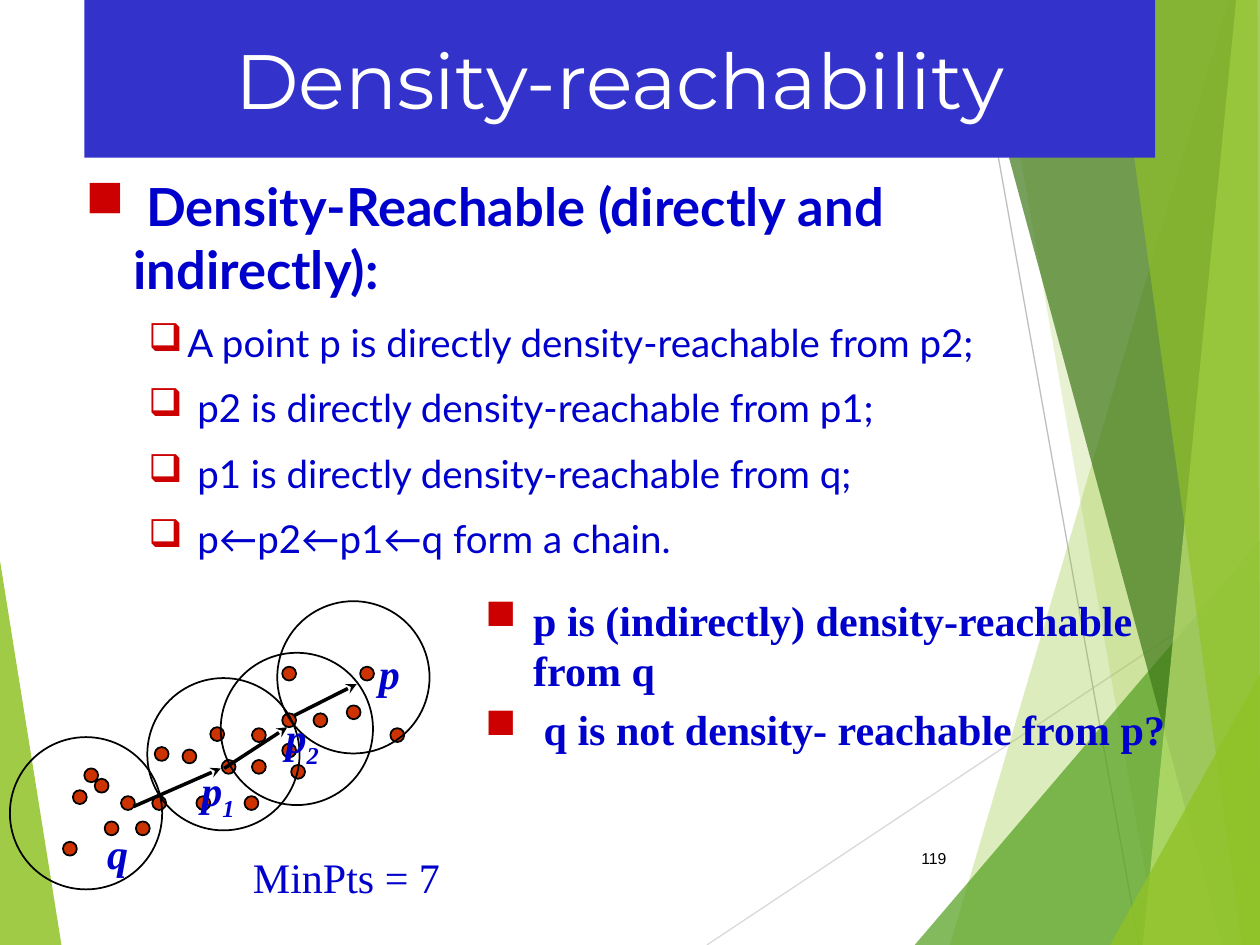
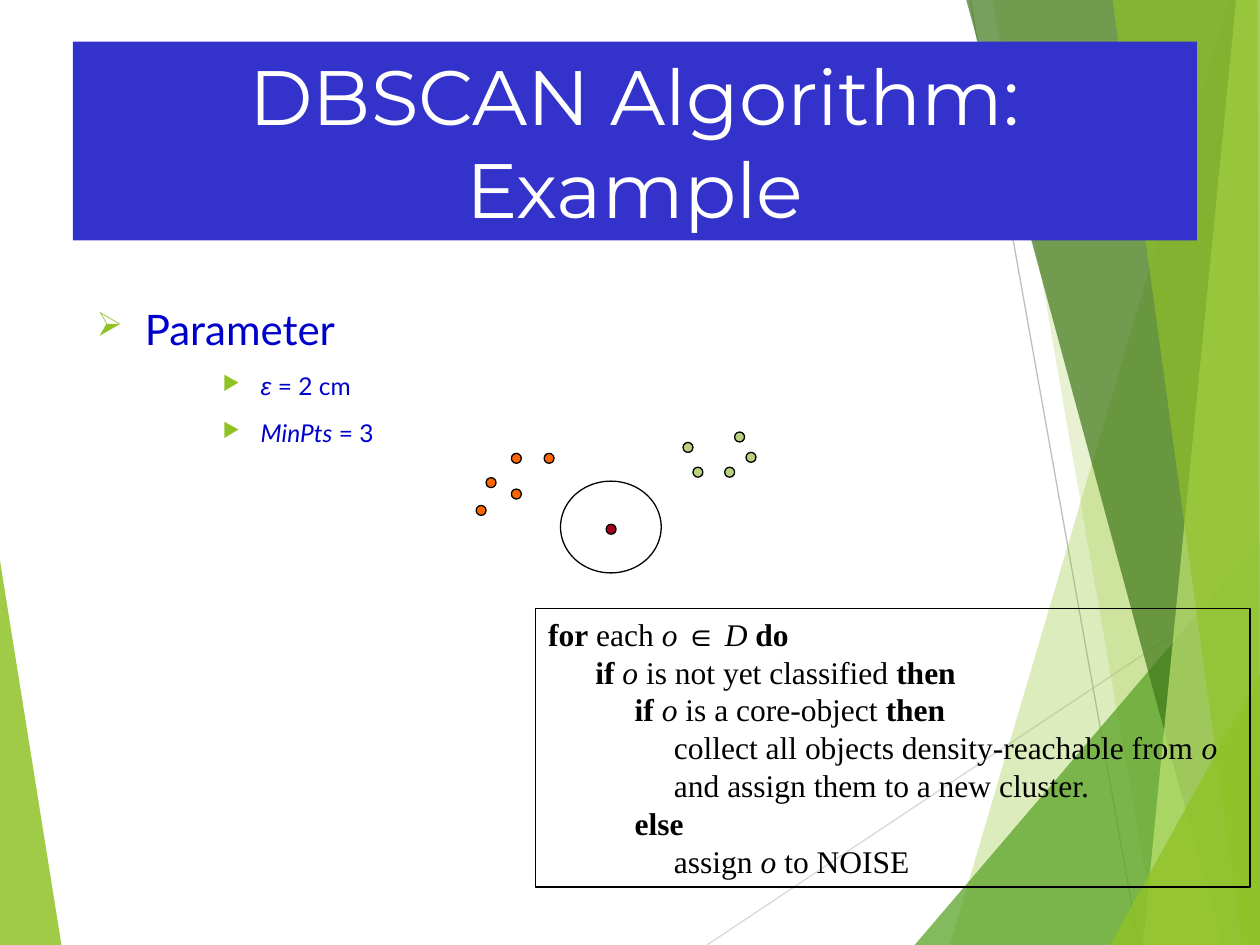
from lxml.etree import SubElement
from pptx import Presentation
from pptx.dml.color import RGBColor
from pptx.enum.shapes import MSO_CONNECTOR, MSO_SHAPE
from pptx.enum.text import MSO_ANCHOR, PP_ALIGN
from pptx.oxml.ns import qn
from pptx.util import Cm, Pt

COLORS = {
    "band": "3333CC", "white": "FFFFFF", "black": "000000", "text": "0000CC",
    "bullet": "CC0000", "lime": "90C226", "green": "54A021", "forest": "3F7819",
    "pale": "C0E474", "light_rule": "D9D9D9", "rule": "BFBFBF",
    "point": "CC3300", "orange": "FF6600", "sage": "B9D181", "core": "A50021",
}
WIDTH, HEIGHT = 25.4, 19.05
CORNERS = [(WIDTH, HEIGHT), (WIDTH, 0)]

RULES = [((14.25, HEIGHT), (WIDTH, 11.63), "light_rule"),
         ((19.56, 0), (22.96, HEIGHT), "rule")]
SHARDS = [
    ("lime", 85, [(0, 11.3), (1.24, HEIGHT), (0, HEIGHT)]),
    ("lime", 30, [(24.77, 0), (19.15, HEIGHT), *CORNERS]),
    ("lime", 20, [(20.02, 0), (23.34, HEIGHT), *CORNERS]),
    ("green", 72, [(18.44, HEIGHT), (WIDTH, 10.9), (WIDTH, HEIGHT)]),
    ("forest", 70, [(19.48, 0), (24.64, HEIGHT), *CORNERS]),
    ("pale", 70, [(24.92, 0), (23.04, HEIGHT), *CORNERS]),
    ("lime", 65, [(22.43, 0), (25.04, HEIGHT), (WIDTH, HEIGHT), (25.35, 0)]),
    ("lime", 80, [(22.38, HEIGHT), (WIDTH, 13.59), (WIDTH, HEIGHT)]),
]

TITLE = {"name": "Montserrat", "size": Pt(44), "color": "white"}
HEADING = {"name": "Lato", "size": Pt(30), "bold": True, "color": "text"}
POINT = {"name": "Lato", "size": Pt(22), "color": "text"}
SERIF = {"name": "Times New Roman", "size": Pt(24), "color": "text"}
CONCLUSION = {**SERIF, "bold": True}
LABEL = {**CONCLUSION, "italic": True}
PARAMETER = {"name": "Lato", "size": Pt(24), "color": "text"}
VALUE = {**PARAMETER, "size": Pt(14)}
NUMBER = {"name": "Arial", "size": Pt(9), "color": "black"}
CODE = {"name": "Times New Roman", "size": Pt(18), "color": "black"}
CODE_BOLD = {**CODE, "bold": True}
CODE_ITALIC = {**CODE, "italic": True}

SQUARE = {"mark": "■", "color": "bullet", "left": 0.97, "hang": 0.97}
CHECKBOX = {"mark": "❑", "color": "bullet", "left": 2.06, "hang": 0.79, "level": 1}
ARROWHEAD = {"mark": "➢", "color": "lime", "left": 0.97, "hang": 0.97, "size": 80}
TRIANGLE = {"mark": "▶", "color": "lime", "left": 3.18, "hang": 0.64, "size": 80, "level": 2}

CIRCLES = [(4.45, 13.16), (2.97, 13.67), (5.59, 12.12), (0.2, 14.86)]
POINTS = [
    (2.74, 16.56), (5.69, 14.38), (5.69, 13.44), (4.47, 15.32), (5.08, 14.68),
    (5.08, 15.32), (1.47, 15.93), (6.99, 14.22), (7.87, 14.68), (7.26, 13.44),
    (5.69, 14.99), (6.32, 14.38), (1.91, 15.7), (2.11, 16.56), (1.27, 16.97),
    (3.68, 15.11), (2.44, 16.05), (3.12, 15.06), (3.07, 16.05), (1.7, 15.49),
    (5.87, 15.42), (3.96, 16.05), (4.24, 14.66), (4.93, 16.05),
]
CHAIN = [((2.69, 16.26), (4.45, 15.49)), ((4.52, 15.49), (5.79, 14.66)),
         ((5.92, 14.43), (7.19, 13.79))]
CHAIN_LABELS = [("p", "", 7.39, 12.93), ("q", "", 1.91, 16.56),
                ("p", "2", 5.51, 14.22), ("p", "1", 3.81, 15.29)]
CLUSTERS = {
    "orange": [(9.6, 10.19), (10.31, 9.14), (10.97, 9.14), (9.8, 9.63), (10.31, 9.86)],
    "sage": [(13.97, 9.42), (13.77, 8.92), (14.61, 9.42), (15.04, 9.12), (14.81, 8.71)],
    "core": [(12.22, 10.57)],
}
ALGORITHM = [
    [("for", CODE_BOLD), (" each ", CODE), ("o ", CODE_ITALIC),
     ("∈", {**CODE, "name": "Arial"}), (" D ", CODE_ITALIC), ("do", CODE_BOLD)],
    [("      if ", CODE_BOLD), ("o", CODE_ITALIC), (" is not yet classified ", CODE),
     ("then", CODE_BOLD)],
    [("           if ", CODE_BOLD), ("o", CODE_ITALIC), (" is a core-object ", CODE),
     ("then", CODE_BOLD)],
    [("                collect all objects density-reachable from ", CODE),
     ("o", CODE_ITALIC)],
    [("                and assign them to a new cluster.", CODE)],
    [("           else", CODE_BOLD)],
    [("                assign ", CODE), ("o", CODE_ITALIC), (" to NOISE", CODE)],
]


def rgb(name):
    return RGBColor.from_string(COLORS[name])


def cm(*lengths):
    return [Cm(length) for length in lengths]


def style_span(span, style):
    for name, value in style.items():
        if name == "color":
            span.font.color.rgb = rgb(value)
        elif name == "baseline":
            span._r.get_or_add_rPr().set("baseline", str(value * 1000))
        else:
            setattr(span.font, name, value)


def add_bullet(para, bullet):
    para.level = bullet.get("level", 0)
    properties = para._p.get_or_add_pPr()
    properties.set("marL", str(Cm(bullet["left"])))
    properties.set("indent", str(-Cm(bullet["hang"])))
    color = SubElement(properties, qn("a:buClr"))
    SubElement(color, qn("a:srgbClr")).set("val", COLORS[bullet["color"]])
    if "size" in bullet:
        SubElement(properties, qn("a:buSzPct")).set("val", str(bullet["size"] * 1000))
    SubElement(properties, qn("a:buChar")).set("char", bullet["mark"])


def write(box, lines, align=PP_ALIGN.LEFT, anchor=MSO_ANCHOR.TOP, bullets=(), gap=0):
    frame = box.text_frame
    frame.word_wrap = True
    frame.vertical_anchor = anchor
    for index, spans in enumerate(lines):
        para = frame.add_paragraph() if index else frame.paragraphs[0]
        para.alignment = align
        if index and gap:
            para.space_before = Pt(gap)
        if bullets:
            add_bullet(para, bullets[index])
        for text, style in spans:
            span = para.add_run()
            span.text = text
            style_span(span, style)


def add_text(page, place, lines, **layout):
    box = page.shapes.add_textbox(*cm(*place))
    write(box, lines, **layout)


def add_figure(page, preset, place, fill=None, line=None, weight=1):
    shape = page.shapes.add_shape(preset, *cm(*place))
    shape.shadow.inherit = False
    if fill:
        shape.fill.solid()
        shape.fill.fore_color.rgb = rgb(fill)
    else:
        shape.fill.background()
    if line:
        shape.line.color.rgb = rgb(line)
        shape.line.width = Pt(weight)
    else:
        shape.line.fill.background()
    return shape


def add_dots(page, corners, size, fill, weight):
    for left, top in corners:
        add_figure(page, MSO_SHAPE.OVAL, (left, top, size, size), fill, "black", weight)


def add_line(page, start, end, color, weight, arrow=False):
    line = page.shapes.add_connector(MSO_CONNECTOR.STRAIGHT, *cm(*start, *end))
    line.line.color.rgb = rgb(color)
    line.line.width = Pt(weight)
    if arrow:
        SubElement(line.line._get_or_add_ln(), qn("a:tailEnd")).set("type", "stealth")
    SubElement(line._element.spPr, qn("a:effectLst"))


def add_shard(page, color, opacity, points):
    start, *rest = [cm(*point) for point in points]
    builder = page.shapes.build_freeform(*start)
    builder.add_line_segments(rest, close=True)
    shard = builder.convert_to_shape()
    shard.shadow.inherit = False
    shard.line.fill.background()
    shard.fill.solid()
    shard.fill.fore_color.rgb = rgb(color)
    value = shard._element.spPr.find(".//" + qn("a:srgbClr"))
    SubElement(value, qn("a:alpha")).set("val", str(opacity * 1000))


def add_page(deck, title, place):
    page = deck.slides.add_slide(deck.slide_layouts[6])
    for start, end, color in RULES:
        add_line(page, start, end, color, 0.75)
    for shard in SHARDS:
        add_shard(page, *shard)
    band = add_figure(page, MSO_SHAPE.RECTANGLE, place, "band")
    write(band, [[(title, TITLE)]], PP_ALIGN.CENTER, MSO_ANCHOR.MIDDLE)
    return page


def build_reachability(deck):
    page = add_page(deck, "Density-reachability", (1.7, 0, 21.59, 3.18))
    add_text(page, (17.91, 16.79, 1.42, 1.02), [[("119", NUMBER)]],
             align=PP_ALIGN.RIGHT, anchor=MSO_ANCHOR.MIDDLE)
    steps = ["A point p is directly density-reachable from p2;",
             " p2 is directly density-reachable from p1;",
             " p1 is directly density-reachable from q;",
             " p←p2←p1←q form a chain."]
    heading = [(" Density-Reachable (directly and indirectly):", HEADING)]
    add_text(page, (1.47, 3.38, 21.59, 11.43),
             [heading] + [[(step, POINT)] for step in steps],
             bullets=[SQUARE] + [CHECKBOX] * len(steps), gap=11)
    add_dots(page, POINTS, 0.28, "point", 1)
    add_dots(page, CIRCLES, 3.07, None, 1)
    for letter, index, left, top in CHAIN_LABELS:
        spans = [(letter, LABEL)]
        if index:
            spans.append((index, {**LABEL, "baseline": -25}))
        add_text(page, (left, top, 1.7 if index else 1.07, 1.3), [spans])
    for start, end in CHAIN:
        add_line(page, start, end, "black", 2, arrow=True)
    add_text(page, (9.53, 11.86, 14.4, 5.28),
             [[("p is (indirectly) density-reachable from q", CONCLUSION)],
              [(" q is not density- reachable from p?", CONCLUSION)]],
             bullets=[SQUARE] * 2, gap=4.8)
    add_text(page, (4.85, 17.04, 8.05, 1.27), [[("MinPts = 7", SERIF)]])


def build_example(deck):
    page = add_page(deck, "DBSCAN Algorithm: Example", (1.47, 0.84, 22.66, 4.01))
    italic = {**VALUE, "italic": True}
    add_text(page, (1.7, 5.99, 17.63, 10.77),
             [[("Parameter", PARAMETER)],
              [(" ", VALUE), ("ε", {**italic, "name": "Arial"}), (" = 2 cm", VALUE)],
              [(" ", VALUE), ("MinPts", italic), (" = 3", VALUE)]],
             bullets=[ARROWHEAD, TRIANGLE, TRIANGLE], gap=10)
    add_figure(page, MSO_SHAPE.OVAL, (11.3, 9.7, 2.03, 1.85), None, "black", 0.75)
    for color, corners in CLUSTERS.items():
        add_dots(page, corners, 0.2, color, 0.75)
    box = add_figure(page, MSO_SHAPE.RECTANGLE, (10.8, 12.27, 14.4, 5.61),
                     None, "black", 0.75)
    write(box, ALGORITHM)


def main():
    deck = Presentation()
    deck.slide_width, deck.slide_height = cm(WIDTH, HEIGHT)
    build_reachability(deck)
    build_example(deck)
    deck.save("out.pptx")


if __name__ == "__main__":
    main()
